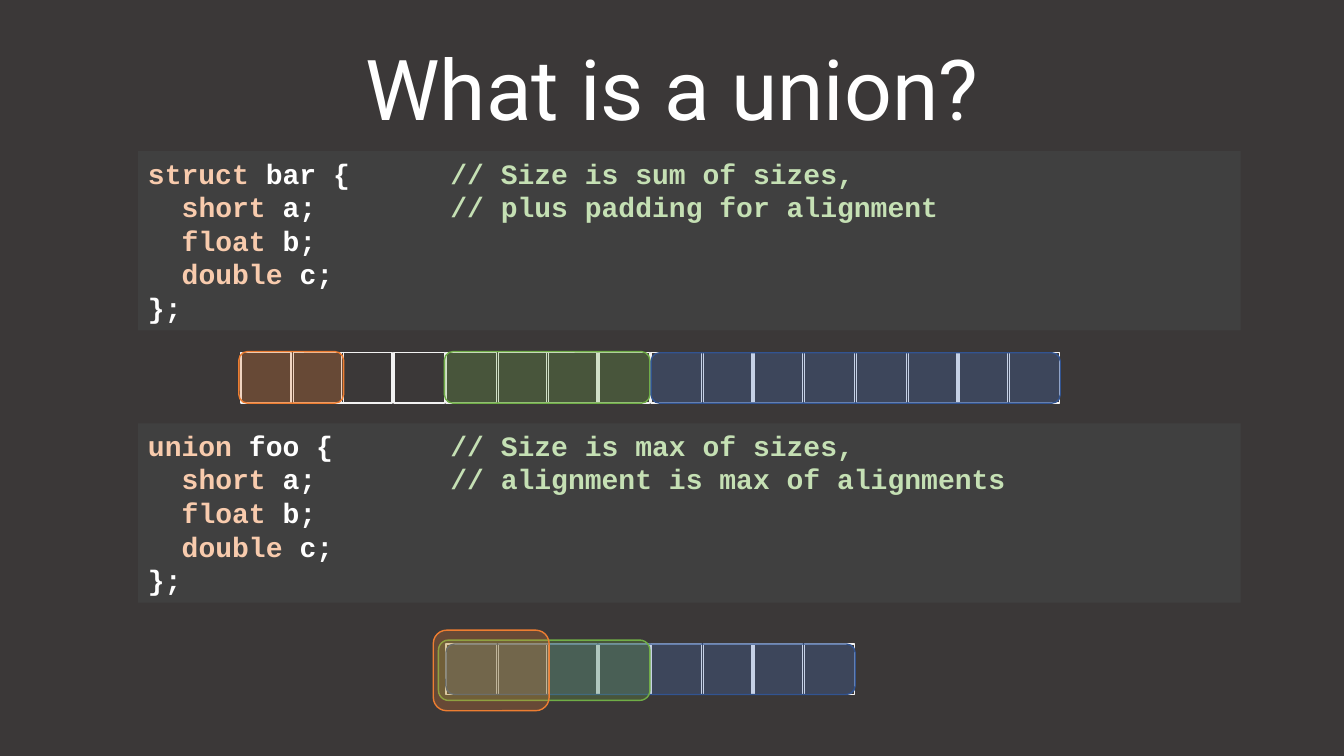
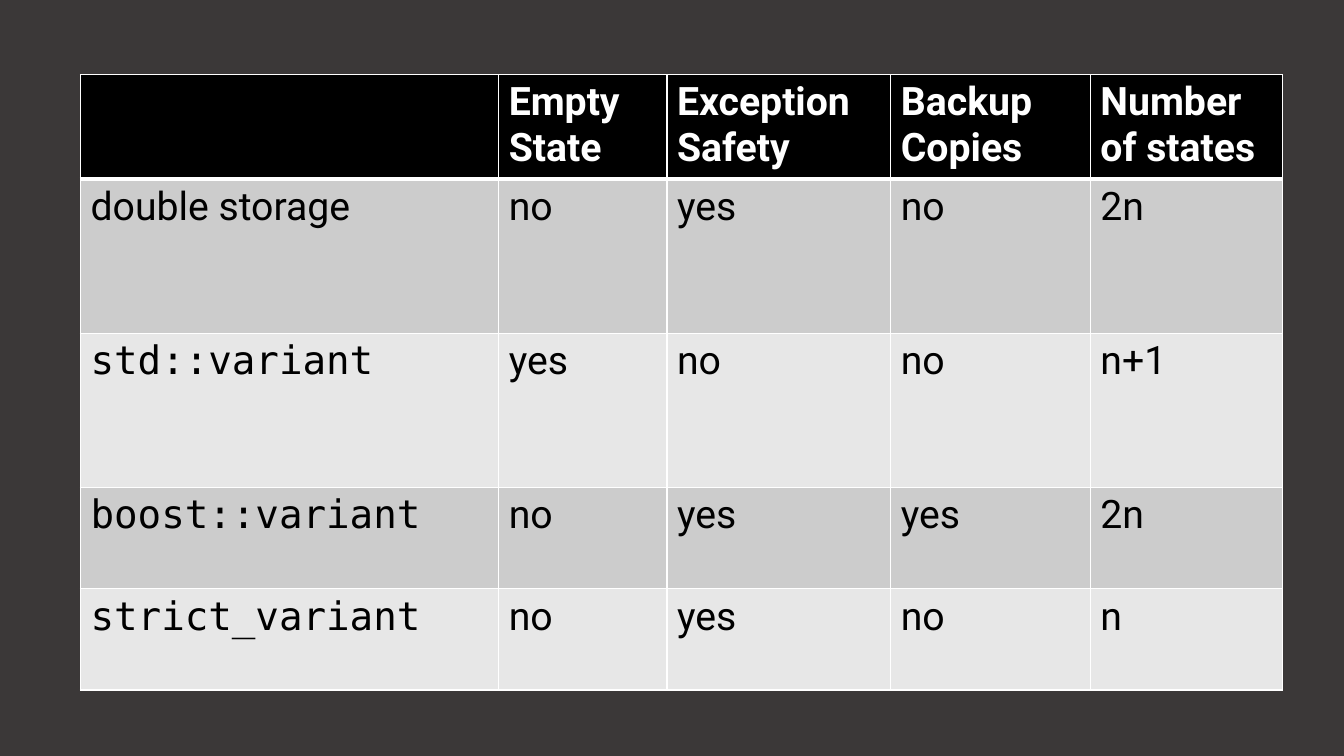
from dataclasses import dataclass
from typing import NamedTuple

from lxml.etree import SubElement
from pptx import Presentation
from pptx.dml.color import RGBColor
from pptx.enum.shapes import MSO_SHAPE as Preset
from pptx.enum.text import MSO_ANCHOR as Anchor, PP_ALIGN as Align
from pptx.oxml.ns import qn
from pptx.util import Cm, Pt

BACKDROP, PANEL, WHITE, BLACK = "3B3838", "404040", "FFFFFF", "000000"
KEYWORD, COMMENT, BYTE_LINE = "F8CBAD", "C5E0B4", "F2F2F2"
BANDS = ("CCCCCC", "E7E7E7")
SANS, CODE, MONO = "Roboto", "Courier New", "DejaVu Sans Mono"

CODE_TABS = (0.85, 7.62)
BYTE = 1.27
WORD_PITCH = 5.17
BYTE_OFFSETS = (0, 1.32, 2.54, 3.86)


class Span(NamedTuple):
    text: str
    colour: str


class Box(NamedTuple):
    left: float
    top: float
    width: float
    height: float

    def lengths(self) -> tuple:
        return tuple(Cm(value) for value in self)


@dataclass
class Field:
    box: Box
    fill: str
    line: str


@dataclass
class Layout:
    keyword: str
    name: str
    comments: tuple[str, str]
    code_top: float
    bytes_left: float
    bytes_top: float
    words: int
    fields: list[Field]


ORANGE = ("ED7D31", "ED7D31")
GREEN = ("70AD47", "70AD47")
BLUE = ("4472C4", "325491")

LAYOUTS = [
    Layout("struct", "bar", ("// Size is sum of sizes,", "// plus padding for alignment"),
           3.81, 6.07, 8.89, 4, [
               Field(Box(6.02, 8.86, 2.64, 1.3), *ORANGE),
               Field(Box(11.2, 8.86, 5.18, 1.3), *GREEN),
               Field(Box(16.41, 8.89, 10.31, 1.27), *BLUE)]),
    Layout("union", "foo", ("// Size is max of sizes,", "// alignment is max of alignments"),
           10.67, 11.24, 16.23, 2, [
               Field(Box(11.24, 16.23, 10.31, 1.27), *BLUE),
               Field(Box(11.05, 16.13, 5.33, 1.52), *GREEN),
               Field(Box(10.92, 15.88, 2.92, 2.03), *ORANGE)]),
]

HEADINGS = ("", "Empty State", "Exception Safety", "Backup Copies", "Number of states")
VARIANTS = [
    ("double storage", "no", "yes", "no", "2n"),
    ("std::variant", "yes", "no", "no", "n+1"),
    ("boost::variant", "no", "yes", "yes", "2n"),
    ("strict_variant", "no", "yes", "no", "n"),
]
COLUMN_WIDTHS = (10.54, 4.24, 5.64, 5.03, 4.85)
ROW_HEIGHTS = (2.58, 3.89, 3.89, 2.55, 2.55)


def rgb(colour: str) -> RGBColor:
    return RGBColor.from_string(colour)


def write(frame, lines: list[list[Span]], *, size: float, font: str, bold: bool = False,
          align=Align.LEFT, anchor=Anchor.TOP, spacing: float = 1.0, tabs: tuple = ()) -> None:
    frame.word_wrap = True
    frame.vertical_anchor = anchor
    for number, spans in enumerate(lines):
        paragraph = frame.add_paragraph() if number else frame.paragraphs[0]
        paragraph.alignment = align
        paragraph.line_spacing = spacing
        if tabs:
            stops = SubElement(paragraph._p.get_or_add_pPr(), qn("a:tabLst"))
            for position in tabs:
                SubElement(stops, qn("a:tab"), pos=str(Cm(position)), algn="l")
        for span in spans:
            run = paragraph.add_run()
            run.text = span.text
            run.font.size = Pt(size)
            run.font.name = font
            run.font.bold = bold
            run.font.color.rgb = rgb(span.colour)


def draw(shapes, preset, box: Box, *, fill: str = "", line: str = "", opacity: int = 100):
    shape = shapes.add_shape(preset, *box.lengths())
    shape.shadow.inherit = False
    if fill:
        shape.fill.solid()
        shape.fill.fore_color.rgb = rgb(fill)
        if opacity < 100:
            tint = shape._element.spPr.find(qn("a:solidFill"))[0]
            SubElement(tint, qn("a:alpha"), val=str(opacity * 1000))
    else:
        shape.fill.background()
    if line:
        shape.line.color.rgb = rgb(line)
        shape.line.width = Pt(1)
    else:
        shape.line.fill.background()
    return shape


def code_lines(layout: Layout) -> list[list[Span]]:
    size_note, alignment_note = layout.comments
    return [
        [Span(f"{layout.keyword} ", KEYWORD), Span(f"{layout.name} {{\t", WHITE),
         Span(size_note, COMMENT)],
        [Span("\tshort ", KEYWORD), Span("a;\t", WHITE), Span(alignment_note, COMMENT)],
        [Span("\tfloat ", KEYWORD), Span("b;", WHITE)],
        [Span("\tdouble ", KEYWORD), Span("c;", WHITE)],
        [Span("};", WHITE)],
    ]


def draw_layout(slide, layout: Layout) -> None:
    panel = draw(slide.shapes, Preset.RECTANGLE, Box(3.48, layout.code_top, 27.79, 4.52),
                 fill=PANEL)
    write(panel.text_frame, code_lines(layout), size=20, font=CODE, bold=True, tabs=CODE_TABS)
    memory = slide.shapes.add_group_shape().shapes
    for word in range(layout.words):
        for offset in BYTE_OFFSETS:
            left = layout.bytes_left + word * WORD_PITCH + offset
            draw(memory, Preset.RECTANGLE, Box(left, layout.bytes_top, BYTE, BYTE),
                 line=BYTE_LINE)
    for field in layout.fields:
        draw(memory, Preset.ROUNDED_RECTANGLE, field.box, fill=field.fill, line=field.line,
             opacity=25)


def set_borders(cell, **widths: float) -> None:
    properties = cell._tc.get_or_add_tcPr()
    for side, width in widths.items():
        edge = SubElement(properties, qn(f"a:ln{side}"), w=str(Pt(width)))
        SubElement(SubElement(edge, qn("a:solidFill")), qn("a:srgbClr"), val=WHITE)


def draw_comparison(slide) -> None:
    rows = [HEADINGS, *VARIANTS]
    box = Box(2.03, 1.88, sum(COLUMN_WIDTHS), sum(ROW_HEIGHTS))
    table = slide.shapes.add_table(len(rows), len(HEADINGS), *box.lengths()).table
    table.horz_banding = False
    for column, width in zip(table.columns, COLUMN_WIDTHS):
        column.width = Cm(width)
    for row_number, values in enumerate(rows):
        table.rows[row_number].height = Cm(ROW_HEIGHTS[row_number])
        heading = row_number == 0
        for column_number, value in enumerate(values):
            cell = table.cell(row_number, column_number)
            set_borders(cell, L=1, R=1, T=3 if row_number == 1 else 1, B=3 if heading else 1)
            cell.fill.solid()
            cell.fill.fore_color.rgb = rgb(BLACK if heading else BANDS[(row_number - 1) % 2])
            if value:
                write(cell.text_frame, [[Span(value, WHITE if heading else BLACK)]],
                      size=28, font=MONO if "variant" in value else SANS, bold=heading)


def main() -> None:
    deck = Presentation()
    deck.slide_width, deck.slide_height = Cm(33.87), Cm(19.05)
    backdrop = deck.slide_master.background.fill
    backdrop.solid()
    backdrop.fore_color.rgb = rgb(BACKDROP)
    blank = deck.slide_layouts[6]

    union_slide = deck.slides.add_slide(blank)
    title = union_slide.shapes.add_textbox(*Box(2.33, 0.51, 29.21, 3.68).lengths())
    write(title.text_frame, [[Span("What is a union?", WHITE)]], size=60, font=SANS,
          align=Align.CENTER, anchor=Anchor.MIDDLE, spacing=0.9)
    for layout in LAYOUTS:
        draw_layout(union_slide, layout)

    draw_comparison(deck.slides.add_slide(blank))
    deck.save("out.pptx")


if __name__ == "__main__":
    main()
